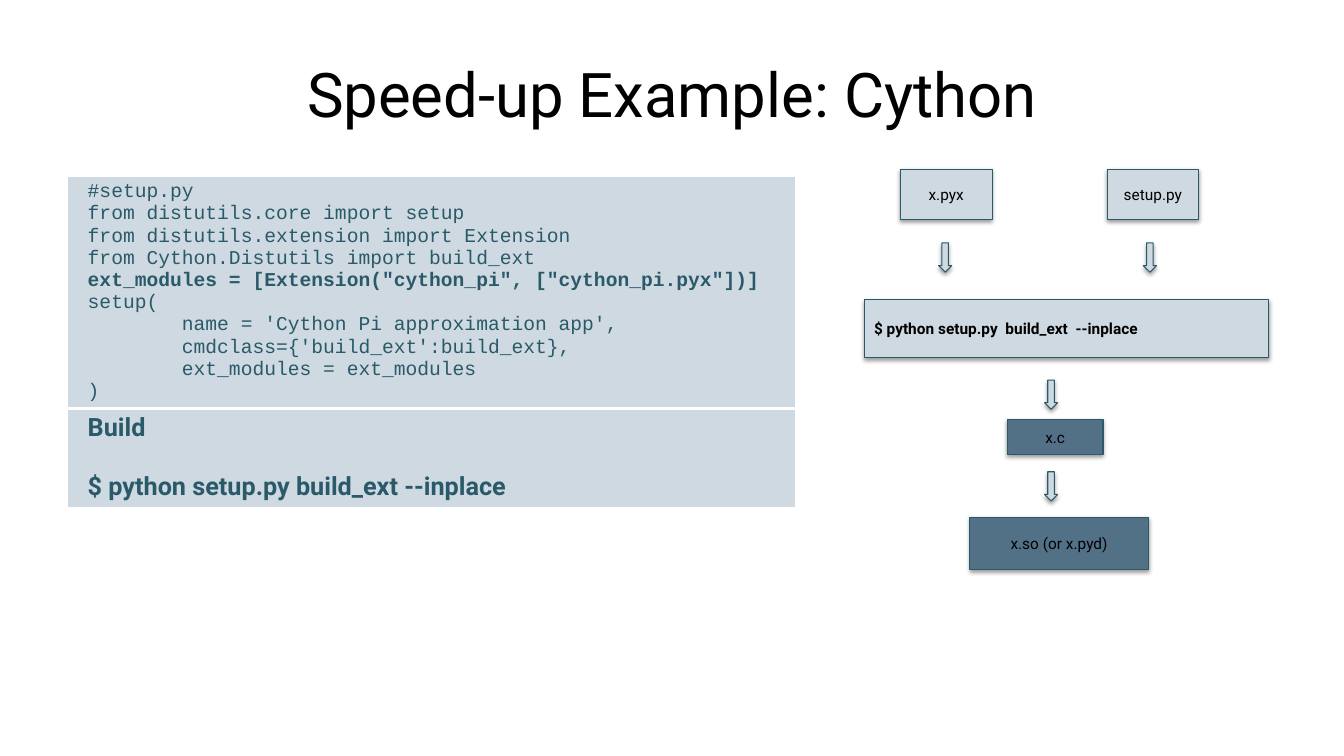
from lxml import etree
from pptx import Presentation
from pptx.dml.color import RGBColor
from pptx.enum.shapes import MSO_SHAPE
from pptx.enum.text import MSO_ANCHOR, PP_ALIGN
from pptx.oxml import parse_xml
from pptx.oxml.ns import nsdecls, qn
from pptx.util import Inches, Pt

RECTANGLE = MSO_SHAPE.RECTANGLE
DOWN_ARROW = MSO_SHAPE.DOWN_ARROW
MIDDLE = MSO_ANCHOR.MIDDLE
LEFT = PP_ALIGN.LEFT
CENTER = PP_ALIGN.CENTER

COLORS = {
    "black": "000000",
    "white": "FFFFFF",
    "teal": "2A5A69",
    "pale": "CED9E1",
    "slate": "527086",
}
BODY_FONT = "Roboto"
CODE_FONT = "Courier New"

SETUP_CODE = """#setup.py
from distutils.core import setup
from distutils.extension import Extension
from Cython.Distutils import build_ext
ext_modules = [Extension("cython_pi", ["cython_pi.pyx"])]
setup(
        name = 'Cython Pi approximation app',
        cmdclass={'build_ext':build_ext},
        ext_modules = ext_modules
)""".split("\n")
BUILD_LINES = ["Build", "$ python setup.py build_ext --inplace"]


def color(name):
    """Return the named colour."""
    return RGBColor.from_string(COLORS[name])


def add_run(paragraph, text, size, font_name, color_name, bold=False):
    """Add one formatted run to a paragraph."""
    run = paragraph.add_run()
    run.text = text
    run.font.size = Pt(size)
    run.font.name = font_name
    run.font.bold = bold
    run.font.color.rgb = color(color_name)


def add_title(slide, left, top, width, height):
    """Place and fill the title placeholder."""
    title = slide.shapes.title
    title.left, title.top = Inches(left), Inches(top)
    title.width, title.height = Inches(width), Inches(height)
    title.text_frame.vertical_anchor = MIDDLE
    paragraph = title.text_frame.paragraphs[0]
    paragraph.alignment = CENTER
    add_run(paragraph, "Speed-up Example: Cython", 44, BODY_FONT, "black")


def set_borders(cell, widths):
    """Draw white cell borders with the given widths in points."""
    properties = cell._tc.get_or_add_tcPr()
    for side, width in widths.items():
        line = etree.SubElement(properties, qn(f"a:ln{side}"), w=str(Pt(width)))
        fill = etree.SubElement(line, qn("a:solidFill"))
        etree.SubElement(fill, qn("a:srgbClr"), val=COLORS["white"])


def fill_cell(cell, lines, size, font_name, bold_lines, gap, borders):
    """Write lines into a cell, one paragraph each."""
    cell.margin_left = cell.margin_right = Inches(0.2)
    cell.margin_top = cell.margin_bottom = Inches(0.05)
    set_borders(cell, borders)
    cell.fill.solid()
    cell.fill.fore_color.rgb = color("pale")
    for index, line in enumerate(lines):
        if index == 0:
            paragraph = cell.text_frame.paragraphs[0]
        else:
            paragraph = cell.text_frame.add_paragraph()
            paragraph.space_before = Pt(gap)
        add_run(paragraph, line, size, font_name, "teal", line in bold_lines)


def add_code_table(slide, left, top, width, row_heights):
    """Place the setup script above its build command."""
    table = slide.shapes.add_table(
        2, 1, Inches(left), Inches(top), Inches(width), Inches(sum(row_heights))
    ).table
    table.first_row = False
    table.horz_banding = False
    for row, height in zip(table.rows, row_heights):
        row.height = Inches(height)
    fill_cell(table.cell(0, 0), SETUP_CODE, 14, CODE_FONT, SETUP_CODE[4:5], 0,
              {"L": 1, "R": 1, "T": 1, "B": 3})
    fill_cell(table.cell(1, 0), BUILD_LINES, 18, BODY_FONT, BUILD_LINES, 21,
              {"L": 1, "R": 1, "T": 3, "B": 1})


def add_soft_shadow(shape):
    """Give a shape a small shadow straight below it."""
    shape.shadow.inherit = False
    effects = shape._element.spPr.find(qn("a:effectLst"))
    effects.append(parse_xml(
        f'<a:outerShdw {nsdecls("a")} blurRad="{Pt(3.1)}" dist="{Pt(1.6)}" '
        f'dir="5400000" rotWithShape="0"><a:srgbClr val="{COLORS["black"]}">'
        '<a:alpha val="38000"/></a:srgbClr></a:outerShdw>'
    ))


def add_block(slide, kind, left, top, width, height, fill="pale"):
    """Add a filled, outlined shape with a soft shadow."""
    shape = slide.shapes.add_shape(
        kind, Inches(left), Inches(top), Inches(width), Inches(height)
    )
    shape.fill.solid()
    shape.fill.fore_color.rgb = color(fill)
    shape.line.color.rgb = color("teal")
    shape.line.width = Pt(0.75)
    add_soft_shadow(shape)
    return shape


def add_build_flow(slide, left, top):
    """Draw the steps from the sources to the compiled module."""
    steps = [
        ("x.pyx", 0.36, 0, 0.91, 0.5, "pale"),
        ("setup.py", 2.41, 0, 0.91, 0.5, "pale"),
        ("$ python setup.py  build_ext  --inplace", 0, 1.29, 4.01, 0.58, "pale"),
        ("x.c", 1.42, 2.48, 0.95, 0.35, "slate"),
        ("x.so (or x.pyd)", 1.05, 3.45, 1.77, 0.52, "slate"),
    ]
    for text, x, y, width, height, fill in steps:
        step = add_block(slide, RECTANGLE, left + x, top + y, width, height, fill)
        step.text_frame.word_wrap = True
        step.text_frame.vertical_anchor = MIDDLE
        is_command = text.startswith("$")
        paragraph = step.text_frame.paragraphs[0]
        paragraph.alignment = LEFT if is_command else CENTER
        add_run(paragraph, text, 11, BODY_FONT, "black", is_command)
    for x, y in [(0.74, 0.73), (2.77, 0.73), (1.79, 2.09), (1.79, 3)]:
        add_block(slide, DOWN_ARROW, left + x, top + y, 0.13, 0.29)


def main():
    """Build and save the slide."""
    presentation = Presentation()
    presentation.slide_width = Inches(13.33)
    presentation.slide_height = Inches(7.5)
    slide = presentation.slides.add_slide(presentation.slide_layouts[5])
    add_title(slide, 0.67, 0.3, 12, 1.25)
    add_code_table(slide, 0.67, 1.75, 7.22, [2.3, 0.98])
    add_build_flow(slide, 8.57, 1.68)
    presentation.save("out.pptx")


if __name__ == "__main__":
    main()
